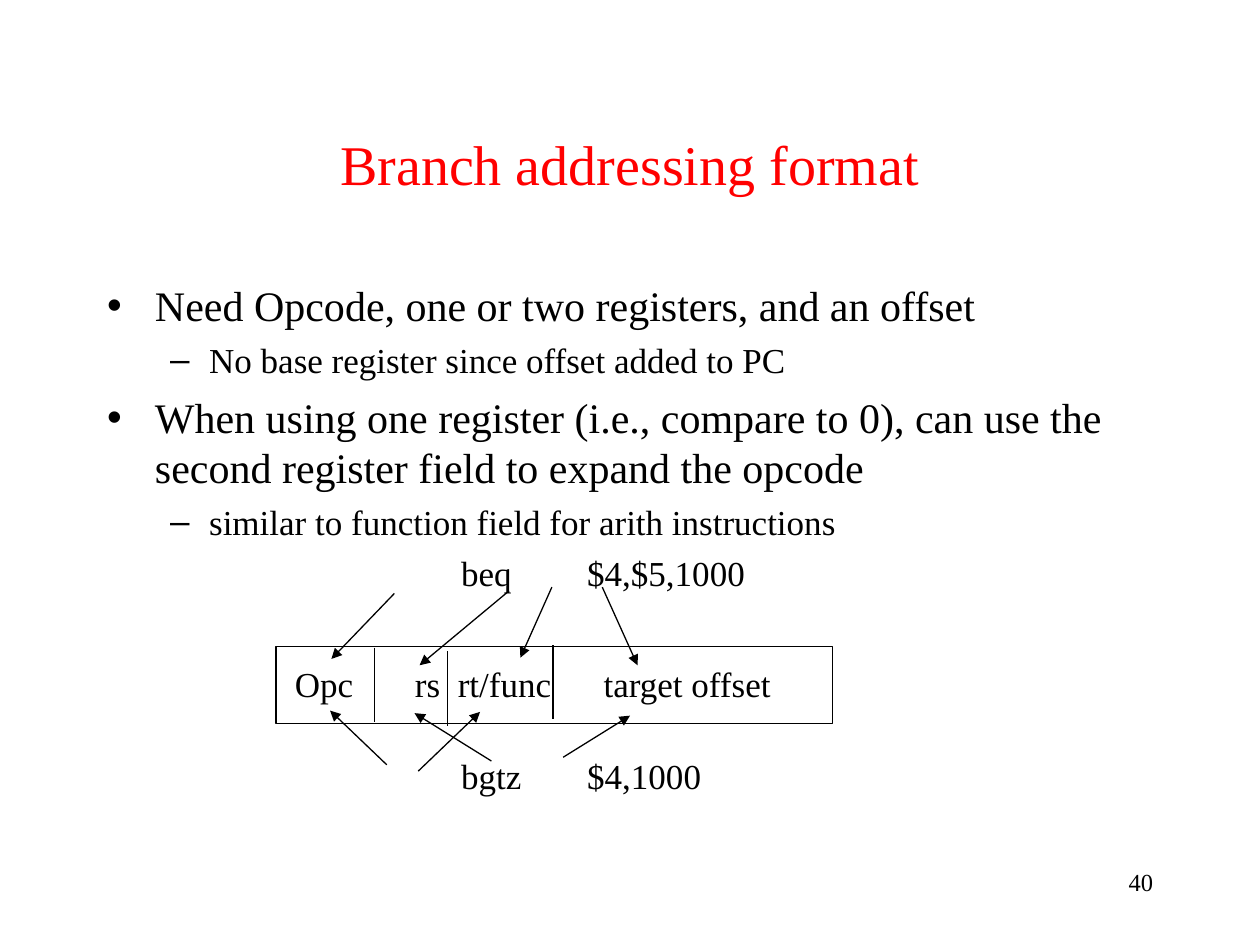
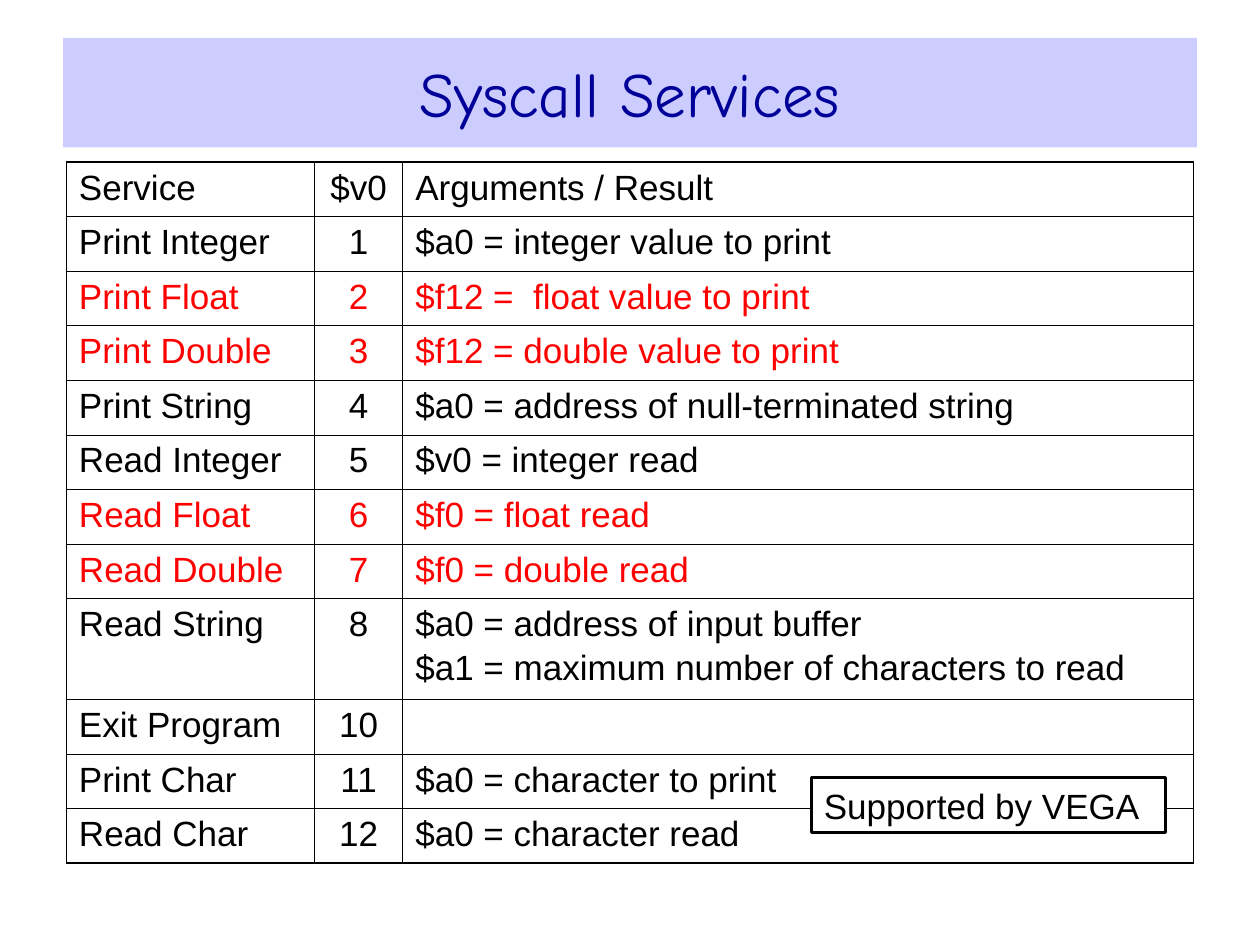
from typing import NamedTuple

from lxml.etree import SubElement
from pptx import Presentation
from pptx.dml.color import RGBColor
from pptx.enum.shapes import MSO_CONNECTOR, MSO_SHAPE
from pptx.enum.text import MSO_ANCHOR, MSO_AUTO_SIZE, PP_ALIGN
from pptx.oxml.ns import qn
from pptx.util import Emu, Pt

# Shared style: lengths are px, 300 to the inch
SCALE = 3048
BLACK = RGBColor(0x00, 0x00, 0x00)
WHITE = RGBColor(0xFF, 0xFF, 0xFF)
RED = RGBColor(0xFF, 0x00, 0x00)
NAVY = RGBColor(0x00, 0x00, 0x99)
LILAC = RGBColor(0xCC, 0xCC, 0xFF)
SERIF, SANS, COMIC = "Times New Roman", "Arial", "Comic Neue"


class Box(NamedTuple):
    left: int
    top: int
    width: int
    height: int


class Face(NamedTuple):
    name: str
    size: int
    color: RGBColor = BLACK


class Level(NamedTuple):
    depth: int
    size: int
    margin: int
    hang: int
    before: int
    mark: str


class Item(NamedTuple):
    text: str
    level: Level
    before: int = 0


class Line(NamedTuple):
    x1: int
    y1: int
    x2: int
    y2: int
    arrow: bool = True


class Service(NamedTuple):
    name: str
    code: str
    args: str
    color: RGBColor = BLACK


# Branch slide content
POINT = Level(0, 24, 114, 114, 6, "•")
SUB = Level(1, 20, 243, 93, 5, "–")
CODE = Level(1, 20, 843, 0, 5, "")
ITEMS = [
    Item("Need Opcode, one or two registers, and an offset", POINT),
    Item("No base register since offset added to PC", SUB),
    Item("When using one register (i.e., compare to 0), can use the "
         "second register field to expand the opcode", POINT),
    Item("similar to function field for arith instructions", SUB),
    Item("beq\t\t$4,$5,1000", CODE),
    Item("bgtz\t\t$4,1000", CODE, 92),
]
FIELDS = ["Opc", "rs", "rt/func", "target offset"]
STOPS = [286, 388, 735]
LINES = [
    # Field dividers
    Line(1317, 1536, 1317, 1713, False),
    Line(1065, 1551, 1065, 1728, False),
    Line(891, 1542, 891, 1719, False),
    # beq operands to fields
    Line(939, 1413, 789, 1569),
    Line(1212, 1407, 999, 1584),
    Line(1314, 1398, 1239, 1566),
    Line(1434, 1398, 1518, 1584),
    # bgtz operands to fields
    Line(921, 1821, 786, 1692),
    Line(996, 1836, 1143, 1695),
    Line(1170, 1812, 987, 1698),
    Line(1341, 1803, 1500, 1704),
]

# Syscall slide content
COLS = [591, 210, 1883]
ROW, TALL = 130, 240
SERVICES = [
    Service("Service", "$v0", "Arguments / Result"),
    Service("Print Integer", "1", "$a0 = integer value to print"),
    Service("Print Float", "2", "$f12 =  float value to print", RED),
    Service("Print Double", "3", "$f12 = double value to print", RED),
    Service("Print String", "4", "$a0 = address of null-terminated string"),
    Service("Read Integer", "5", "$v0 = integer read"),
    Service("Read Float", "6", "$f0 = float read", RED),
    Service("Read Double", "7", "$f0 = double read", RED),
    Service("Read String", "8", "$a0 = address of input buffer\n"
            "$a1 = maximum number of characters to read"),
    Service("Exit Program", "10", ""),
    Service("Print Char", "11", "$a0 = character to print"),
    Service("Read Char", "12", "$a0 = character read"),
]


def px(n: int) -> Emu:
    return Emu(n * SCALE)


def place(shape, box: Box) -> None:
    shape.left, shape.top, shape.width, shape.height = map(px, box)


def style(para, face: Face, align=PP_ALIGN.LEFT, before: float = 0) -> None:
    para.font.name = face.name
    para.font.size = Pt(face.size)
    para.font.color.rgb = face.color
    para.alignment = align
    para.space_before = Pt(before)


def tabs(para, stops: list[int]) -> None:
    group = SubElement(para._p.get_or_add_pPr(), qn("a:tabLst"))
    for stop in stops:
        SubElement(group, qn("a:tab"), pos=str(px(stop)), algn="l")


def title(slide, text: str, box: Box, face: Face) -> None:
    head = slide.shapes.title
    place(head, box)
    frame = head.text_frame
    frame.text = text
    frame.auto_size = MSO_AUTO_SIZE.NONE
    frame.vertical_anchor = MSO_ANCHOR.MIDDLE
    style(frame.paragraphs[0], face, PP_ALIGN.CENTER)


def label(slide, text: str, box: Box, face: Face, align=PP_ALIGN.LEFT):
    note = slide.shapes.add_textbox(*map(px, box))
    frame = note.text_frame
    frame.word_wrap = True
    frame.text = text
    style(frame.paragraphs[0], face, align)
    return note


def bullets(slide, items: list[Item], box: Box) -> None:
    body = slide.placeholders[1]
    place(body, box)
    frame = body.text_frame
    frame.auto_size = MSO_AUTO_SIZE.NONE
    frame.text = "\n".join(item.text for item in items)
    for para, item in zip(frame.paragraphs, items):
        level = item.level
        para.level = level.depth
        props = para._p.get_or_add_pPr()
        props.set("marL", str(px(level.margin)))
        props.set("indent", str(px(-level.hang)))
        if level.mark:
            SubElement(props, qn("a:buChar"), char=level.mark)
        else:
            SubElement(props, qn("a:buNone"))
        style(para, Face(SERIF, level.size), before=item.before or level.before)


def frame_box(slide, box: Box, weight: float):
    rect = slide.shapes.add_shape(MSO_SHAPE.RECTANGLE, *map(px, box))
    rect.shadow.inherit = False
    rect.fill.background()
    rect.line.color.rgb = BLACK
    rect.line.width = Pt(weight)
    return rect


def draw(slide, line: Line) -> None:
    ends = map(px, (line.x1, line.y1, line.x2, line.y2))
    stroke = slide.shapes.add_connector(MSO_CONNECTOR.STRAIGHT, *ends)
    stroke.line.color.rgb = BLACK
    stroke.line.width = Pt(0.75)
    if line.arrow:
        SubElement(stroke.line._get_or_add_ln(), qn("a:tailEnd"), type="triangle")
    SubElement(stroke._element.spPr, qn("a:effectLst"))


def border(cell, outer: dict[str, bool]) -> None:
    props = cell._tc.get_or_add_tcPr()
    for side, edge in outer.items():
        width = Pt(1.08 if edge else 0.45)
        line = SubElement(props, qn(f"a:ln{side}"), w=str(width))
        fill = SubElement(line, qn("a:solidFill"))
        SubElement(fill, qn("a:srgbClr"), val=str(BLACK))


def grid(slide, rows: list[Service], left: int, top: int) -> None:
    high = ROW * (len(rows) - 1) + TALL
    box = Box(left, top, sum(COLS), high)
    table = slide.shapes.add_table(len(rows), len(COLS), *map(px, box)).table
    table.first_row = table.horz_banding = False
    for col, width in zip(table.columns, COLS):
        col.width = px(width)
    for r, row in enumerate(rows):
        table.rows[r].height = px(TALL if "\n" in row.args else ROW)
        for c, text in enumerate((row.name, row.code, row.args)):
            cell = table.cell(r, c)
            border(cell, {"L": c == 0, "R": c == len(COLS) - 1,
                          "T": r == 0, "B": r == len(rows) - 1})
            cell.fill.background()
            cell.text = text
            align = PP_ALIGN.CENTER if c == 1 else PP_ALIGN.LEFT
            for n, para in enumerate(cell.text_frame.paragraphs):
                style(para, Face(SANS, 20, row.color), align, 2.5 if n else 10)


def branch(deck) -> None:
    slide = deck.slides.add_slide(deck.slide_layouts[1])
    label(slide, "40", Box(2151, 2049, 624, 150), Face(SERIF, 14), PP_ALIGN.RIGHT)
    title(slide, "Branch addressing format", Box(225, 201, 2550, 375),
          Face(SERIF, 32, RED))
    bullets(slide, ITEMS, Box(225, 651, 2550, 1350))
    # Instruction word
    names = label(slide, "\t".join(FIELDS), Box(591, 1563, 1335, 282),
                  Face(SERIF, 20))
    names.text_frame.margin_left = px(111)
    para = names.text_frame.paragraphs[0]
    props = para._p.get_or_add_pPr()
    font = props.find(qn("a:defRPr"))
    tabs(para, STOPS)
    props.append(font)
    frame_box(slide, Box(657, 1539, 1326, 183), 0.75)
    for line in LINES:
        draw(slide, line)


def syscall(deck) -> None:
    slide = deck.slides.add_slide(deck.slide_layouts[5])
    grid(slide, SERVICES, 158, 386)
    # Simulator note
    note = frame_box(slide, Box(1932, 1851, 843, 132), 1.5)
    note.fill.solid()
    note.fill.fore_color.rgb = WHITE
    note.text_frame.text = "Supported by VEGA"
    style(note.text_frame.paragraphs[0], Face(SANS, 20), before=12.5)
    # Title band
    title(slide, "Syscall Services", Box(150, 90, 2700, 261),
          Face(COMIC, 36, NAVY))
    slide.shapes.title.fill.solid()
    slide.shapes.title.fill.fore_color.rgb = LILAC


def main() -> None:
    deck = Presentation()
    deck.slide_width, deck.slide_height = px(3000), px(2250)
    branch(deck)
    syscall(deck)
    deck.save("out.pptx")


if __name__ == "__main__":
    main()
